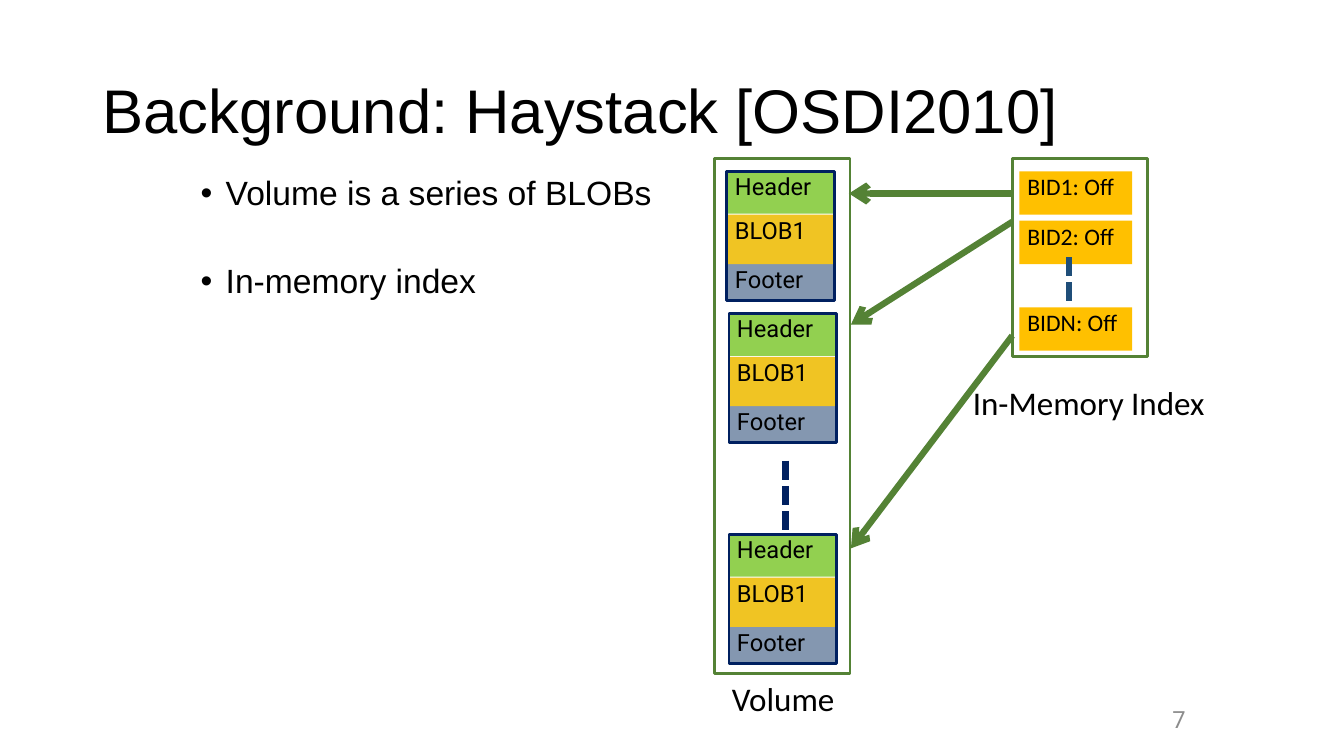
from dataclasses import dataclass
from lxml.etree import SubElement
from pptx import Presentation
from pptx.dml.color import RGBColor
from pptx.enum.dml import MSO_LINE
from pptx.enum.shapes import MSO_CONNECTOR, MSO_SHAPE
from pptx.enum.text import MSO_ANCHOR, PP_ALIGN
from pptx.oxml.ns import qn
from pptx.util import Inches, Pt

COLORS = {
    "text": "000000", "page": "8C8C8C", "head": "92D050", "blob": "F0C423",
    "foot": "8497B0", "index": "FFC000", "navy": "002060", "green": "548235",
    "blue": "1F4E79",
}


@dataclass
class Box:
    x: float
    y: float
    w: float
    h: float


@dataclass
class Style:
    font: str
    size: float
    color: str = "text"
    space: float = 0.9


@dataclass
class Label:
    box: Box
    text: str
    style: Style
    anchor: MSO_ANCHOR = MSO_ANCHOR.TOP
    align: PP_ALIGN = PP_ALIGN.LEFT
    wrap: bool = True
    pad: tuple = (0.1, 0.05)


@dataclass
class Part:
    text: str
    top: float
    height: float
    color: str


@dataclass
class Link:
    start: tuple
    end: tuple
    color: str
    dotted: bool = False


SMALL = (0.08, 0.04)
TITLE = Style("Arial", 44)
BODY = Style("Arial", 24)
CELL = Style("Roboto", 16.9)
ENTRY = Style("Calibri", 16.9)
NAME = Style("Calibri", 23.6, space=1.0)
PAGE = Style("Roboto", 16.9, "page")

PARTS = [
    Part("Header", 0, 0.42, "head"),
    Part("Footer", 0.92, 0.35, "foot"),
    Part("BLOB1", 0.43, 0.49, "blob"),
]
BLOBS = [(7.21, 1.7), (7.23, 3.11), (7.23, 5.3)]
ENTRIES = [("BID1: Off", 1.7), ("BID2: Off", 2.19), ("BIDN: Off", 3.05)]
FRAMES = [Box(7.09, 1.57, 1.34, 5.11), Box(10.04, 1.57, 1.34, 1.97)]
POINTS = ["Volume is a series of BLOBs", "In-memory index"]
LABELS = [
    Label(Box(0.92, 0.4, 11.5, 1.45), "Background: Haystack [OSDI2010]", TITLE,
          anchor=MSO_ANCHOR.MIDDLE),
    Label(Box(7.16, 6.68, 1.23, 0.5), "Volume", NAME, wrap=False),
    Label(Box(9.55, 3.75, 2.53, 0.5), "In-Memory Index", NAME, wrap=False),
    Label(Box(9.14, 6.95, 2.7, 0.4), "7", PAGE, anchor=MSO_ANCHOR.MIDDLE,
          align=PP_ALIGN.RIGHT, pad=SMALL),
]
LINKS = [
    Link((8.42, 1.92), (10.04, 1.92), "green"),
    Link((8.44, 3.22), (10.04, 2.2), "green"),
    Link((8.44, 5.44), (10.04, 3.33), "green"),
    Link((7.79, 4.57), (7.79, 5.29), "navy", True),
    Link((10.6, 2.55), (10.6, 3.05), "blue", True),
]


def tint(name: str) -> RGBColor:
    return RGBColor.from_string(COLORS[name])


def place(box: Box) -> list:
    return [Inches(v) for v in (box.x, box.y, box.w, box.h)]


def set_frame(frame, pad: tuple, anchor=MSO_ANCHOR.TOP, wrap: bool = True) -> None:
    frame.margin_left = frame.margin_right = Inches(pad[0])
    frame.margin_top = frame.margin_bottom = Inches(pad[1])
    frame.vertical_anchor = anchor
    frame.word_wrap = wrap


def add_run(para, text: str, style: Style) -> None:
    para.line_spacing = style.space
    run = para.add_run()
    run.text = text
    run.font.name = style.font
    run.font.size = Pt(style.size)
    run.font.color.rgb = tint(style.color)


def add_label(slide, label: Label) -> None:
    frame = slide.shapes.add_textbox(*place(label.box)).text_frame
    set_frame(frame, label.pad, label.anchor, label.wrap)
    para = frame.paragraphs[0]
    para.alignment = label.align
    add_run(para, label.text, label.style)


def add_rect(slide, box: Box):
    shape = slide.shapes.add_shape(MSO_SHAPE.RECTANGLE, *place(box))
    shape.shadow.inherit = False
    return shape


def add_cell(slide, box: Box, text: str, color: str, style: Style) -> None:
    shape = add_rect(slide, box)
    shape.fill.solid()
    shape.fill.fore_color.rgb = tint(color)
    shape.line.fill.background()
    set_frame(shape.text_frame, SMALL)
    para = shape.text_frame.paragraphs[0]
    para.alignment = PP_ALIGN.LEFT
    add_run(para, text, style)


def add_border(slide, box: Box, color: str) -> None:
    shape = add_rect(slide, box)
    shape.fill.background()
    shape.line.color.rgb = tint(color)
    shape.line.width = Pt(2)


def add_blob(slide, x: float, y: float) -> None:
    for part in PARTS:
        box = Box(x, y + part.top, 1.07, part.height)
        add_cell(slide, box, part.text, part.color, CELL)
    add_border(slide, Box(x, y, 1.07, 1.28), "navy")


def add_link(slide, link: Link) -> None:
    ends = [Inches(v) for v in link.start + link.end]
    line = slide.shapes.add_connector(MSO_CONNECTOR.STRAIGHT, *ends)
    line.line.color.rgb = tint(link.color)
    line.line.width = Pt(4.5)
    if link.dotted:
        line.line.dash_style = MSO_LINE.SQUARE_DOT
    else:
        SubElement(line.line._get_or_add_ln(), qn("a:headEnd"), type="arrow")
    SubElement(line._element.spPr, qn("a:effectLst"))


def add_points(slide) -> None:
    frame = slide.shapes.add_textbox(*place(Box(1.39, 1.2, 5.75, 5.59))).text_frame
    set_frame(frame, (0.1, 0.05))
    frame.margin_top = Inches(0.55)
    for i, text in enumerate(POINTS):
        para = frame.add_paragraph() if i else frame.paragraphs[0]
        props = para._p.get_or_add_pPr()
        props.set("marL", str(Inches(0.75)))
        props.set("indent", str(Inches(-0.25)))
        SubElement(props, qn("a:buFont"), typeface="Arial")
        SubElement(props, qn("a:buChar"), char="•")
        if i:
            para.space_before = Pt(37)
        add_run(para, text, BODY)


def main() -> None:
    deck = Presentation()
    deck.slide_width, deck.slide_height = Inches(13.33), Inches(7.5)
    slide = deck.slides.add_slide(deck.slide_layouts[6])

    # Text
    for label in LABELS:
        add_label(slide, label)
    add_points(slide)

    # Volume and index
    for box in FRAMES:
        add_border(slide, box, "green")
    for x, y in BLOBS:
        add_blob(slide, x, y)
    for text, y in ENTRIES:
        add_cell(slide, Box(10.11, y, 1.12, 0.43), text, "index", ENTRY)

    # Arrows and dots
    for link in LINKS:
        add_link(slide, link)

    deck.save("out.pptx")


if __name__ == "__main__":
    main()
